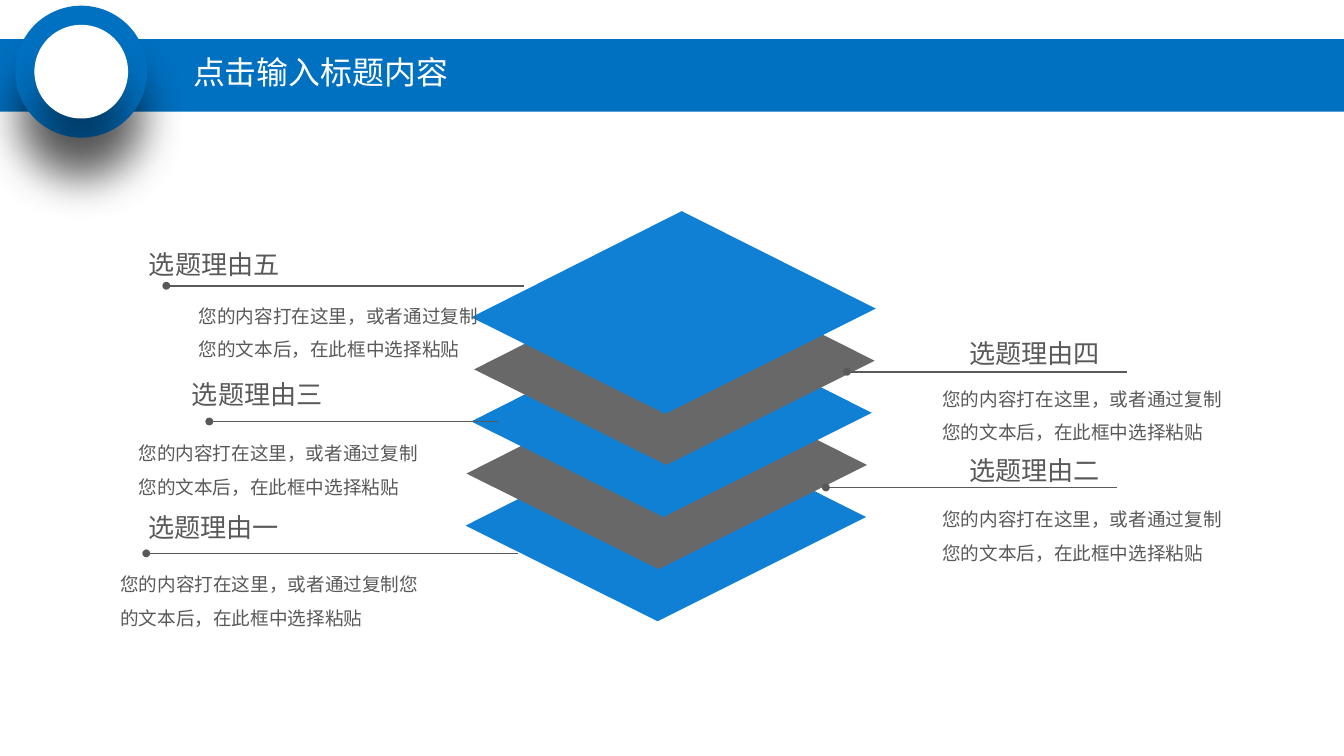
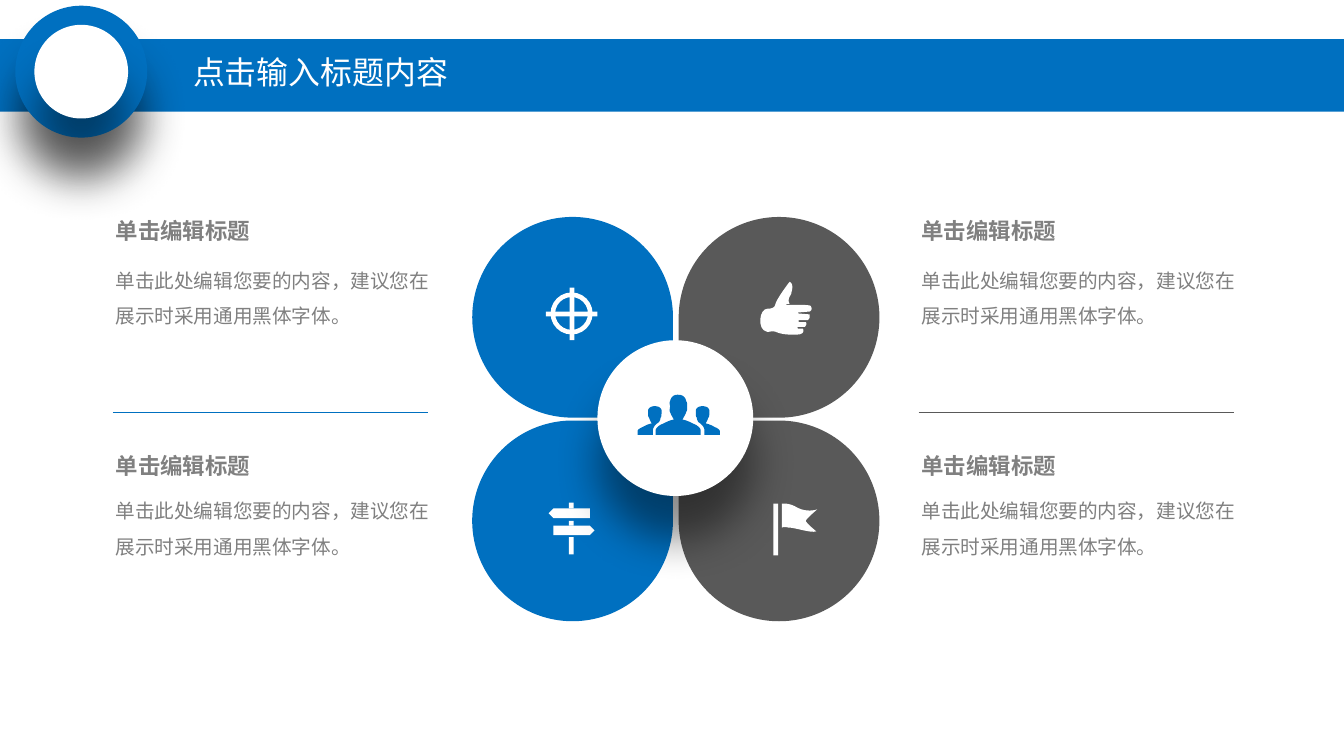
from dataclasses import dataclass

from lxml.etree import SubElement
from pptx import Presentation
from pptx.dml.color import RGBColor
from pptx.enum.shapes import MSO_CONNECTOR, MSO_SHAPE
from pptx.enum.text import MSO_ANCHOR, MSO_AUTO_SIZE, PP_ALIGN
from pptx.oxml.ns import qn
from pptx.shapes.autoshape import Shape
from pptx.slide import Slide, SlideLayout
from pptx.util import Inches, Pt


@dataclass(frozen=True)
class TextStyle:
    font: str
    size: float
    color: RGBColor
    bold: bool = False
    line_spacing: float = 1.0
    inset: float = 0.1


@dataclass(frozen=True)
class Theme:
    blue: RGBColor = RGBColor(0x00, 0x70, 0xC0)
    gray: RGBColor = RGBColor(0x59, 0x59, 0x59)
    lit_blue: RGBColor = RGBColor(0x10, 0x80, 0xD4)
    lit_gray: RGBColor = RGBColor(0x68, 0x68, 0x68)
    white: RGBColor = RGBColor(0xFF, 0xFF, 0xFF)
    muted: RGBColor = RGBColor(0x80, 0x80, 0x80)
    title: TextStyle = TextStyle("Arial Narrow", 24, white, line_spacing=0.9)
    reason_heading: TextStyle = TextStyle("Arial Narrow", 19.7, gray)
    reason_body: TextStyle = TextStyle("Arial Narrow", 14, gray, line_spacing=1.5)
    topic_heading: TextStyle = TextStyle("Calibri", 16.9, muted, bold=True, inset=0)
    topic_body: TextStyle = TextStyle("Calibri", 14.8, muted, line_spacing=1.5, inset=0)


@dataclass(frozen=True)
class Reason:
    heading: str
    heading_at: tuple[float, float]
    body_at: tuple[float, float]
    body_width: float
    line_start: float
    line_end: float
    line_top: float


@dataclass(frozen=True)
class Petal:
    left: float
    top: float
    rotation: int
    color: RGBColor


@dataclass(frozen=True)
class Topic:
    left: float
    heading_top: float
    body_top: float


THEME = Theme()
TITLE = "点击输入标题内容"
REASON_BODY = "您的内容打在这里，或者通过复制您的文本后，在此框中选择粘贴"
TOPIC_HEADING = "单击编辑标题"
TOPIC_BODY = "单击此处编辑您要的内容，建议您在展示时采用通用黑体字体。"

# An outline is a start point, then lines (x, y) or cubic curves (x1, y1, x2, y2, x, y).
Outline = list[tuple[float, ...]]

THUMB: Outline = [
    (8.26, 2.95), (8.26, 2.95, 8.12, 3.13, 8.11, 3.19), (8.1, 3.23, 8.05, 3.23, 8.03, 3.23),
    (7.94, 3.23, 7.92, 3.45, 8.02, 3.47), (8.04, 3.48, 8.06, 3.46, 8.11, 3.47),
    (8.2, 3.51, 8.28, 3.5, 8.36, 3.5), (8.41, 3.49, 8.41, 3.46, 8.4, 3.44),
    (8.35, 3.44), (8.34, 3.43), (8.35, 3.42), (8.42, 3.42),
    (8.44, 3.4, 8.44, 3.38, 8.43, 3.37), (8.36, 3.37), (8.35, 3.36), (8.36, 3.35),
    (8.45, 3.35), (8.48, 3.33, 8.47, 3.3, 8.47, 3.29), (8.35, 3.28), (8.35, 3.27),
    (8.47, 3.26), (8.49, 3.25, 8.5, 3.23, 8.48, 3.2), (8.46, 3.19, 8.38, 3.19, 8.33, 3.19),
    (8.23, 3.19), (8.22, 3.18), (8.26, 3.18), (8.23, 3.12, 8.28, 3.09, 8.28, 3.06),
    (8.31, 2.96, 8.26, 2.95, 8.26, 2.95),
]
FLAG: Outline = [
    (8.43, 5.45), (8.43, 5.43, 8.55, 5.33, 8.55, 5.33), (8.49, 5.35, 8.4, 5.35, 8.32, 5.3),
    (8.25, 5.26, 8.18, 5.27, 8.18, 5.27), (8.18, 5.52), (8.18, 5.52, 8.2, 5.51, 8.25, 5.52),
    (8.32, 5.52, 8.48, 5.58, 8.54, 5.56), (8.54, 5.56, 8.43, 5.47, 8.43, 5.45),
]
SIDE_PERSON: Outline = [
    (7.53, 4.51), (7.53, 4.51, 7.53, 4.49, 7.48, 4.47), (7.46, 4.46, 7.43, 4.44, 7.38, 4.43),
    (7.39, 4.42, 7.4, 4.4, 7.41, 4.37), (7.42, 4.36, 7.42, 4.35, 7.42, 4.33),
    (7.42, 4.32, 7.42, 4.3, 7.42, 4.29), (7.41, 4.26, 7.38, 4.25, 7.35, 4.25),
    (7.32, 4.25, 7.29, 4.26, 7.28, 4.29), (7.28, 4.33), (7.28, 4.35, 7.28, 4.36, 7.29, 4.37),
    (7.29, 4.39, 7.3, 4.41, 7.31, 4.42), (7.36, 4.45, 7.37, 4.49, 7.37, 4.5),
    (7.37, 4.55), (7.53, 4.55),
]
MIDDLE_PERSON: Outline = [
    (7.27, 4.44), (7.24, 4.43, 7.2, 4.4, 7.14, 4.39), (7.15, 4.37, 7.17, 4.34, 7.18, 4.31),
    (7.19, 4.29, 7.19, 4.28, 7.19, 4.25), (7.19, 4.24, 7.19, 4.21, 7.18, 4.2),
    (7.17, 4.15, 7.14, 4.13, 7.09, 4.13), (7.05, 4.13, 7.02, 4.15, 7.01, 4.2),
    (7, 4.21, 7.01, 4.24, 7.01, 4.25), (7.01, 4.28, 7, 4.29, 7.01, 4.31),
    (7.02, 4.34, 7.04, 4.37, 7.05, 4.39), (6.99, 4.4, 6.95, 4.43, 6.92, 4.44),
    (6.86, 4.47, 6.86, 4.5, 6.86, 4.5), (6.86, 4.55), (7.33, 4.55), (7.33, 4.5),
    (7.33, 4.5, 7.33, 4.47, 7.27, 4.44),
]


def paint(shape: Shape, color: RGBColor) -> Shape:
    shape.fill.solid()
    shape.fill.fore_color.rgb = color
    shape.line.fill.background()
    shape.shadow.inherit = False
    return shape


def add_preset(slide: Slide, kind: MSO_SHAPE, left: float, top: float,
               width: float, height: float, color: RGBColor) -> Shape:
    shape = slide.shapes.add_shape(kind, Inches(left), Inches(top), Inches(width), Inches(height))
    return paint(shape, color)


def cast_shadow(shape: Shape) -> None:
    effects = shape._element.spPr.find(qn("a:effectLst"))
    shadow = SubElement(effects, qn("a:outerShdw"), blurRad=str(Pt(33)), dist=str(Pt(33)),
                        dir="5400000", algn="t", rotWithShape="0")
    color = SubElement(shadow, qn("a:srgbClr"), val="000000")
    SubElement(color, qn("a:alpha"), val="43000")


def add_outline(slide: Slide, outline: Outline, color: RGBColor, steps: int = 8) -> Shape:
    """Draw an outline as a freeform, with each curve divided into short lines."""
    points = [outline[0]]
    for segment in outline[1:]:
        if len(segment) == 2:
            points.append(segment)
            continue
        controls = [points[-1], segment[0:2], segment[2:4], segment[4:6]]
        for step in range(1, steps + 1):
            t = step / steps
            weights = ((1 - t) ** 3, 3 * t * (1 - t) ** 2, 3 * t * t * (1 - t), t ** 3)
            points.append(tuple(sum(weight * control[axis]
                                    for weight, control in zip(weights, controls))
                                for axis in (0, 1)))
    vertices = [(Inches(x), Inches(y)) for x, y in points]
    builder = slide.shapes.build_freeform(*vertices[0])
    builder.add_line_segments(vertices[1:], close=True)
    return paint(builder.convert_to_shape(), color)


def mirror(outline: Outline, axis: float) -> Outline:
    return [tuple(2 * axis - value if index % 2 == 0 else value
                  for index, value in enumerate(segment)) for segment in outline]


def write(shape: Shape, text: str, style: TextStyle) -> None:
    frame = shape.text_frame
    frame.text = text
    frame.word_wrap = True
    frame.auto_size = MSO_AUTO_SIZE.NONE
    frame.margin_left = frame.margin_right = Inches(style.inset)
    frame.margin_top = frame.margin_bottom = Inches(style.inset / 2)
    paragraph = frame.paragraphs[0]
    paragraph.alignment = PP_ALIGN.LEFT
    paragraph.line_spacing = style.line_spacing
    font = paragraph.runs[0].font
    font.name, font.size, font.bold = style.font, Pt(style.size), style.bold
    font.color.rgb = style.color


def add_text(slide: Slide, text: str, left: float, top: float,
             width: float, height: float, style: TextStyle) -> None:
    box = slide.shapes.add_textbox(Inches(left), Inches(top), Inches(width), Inches(height))
    write(box, text, style)


def add_line(slide: Slide, start: float, end: float, top: float, color: RGBColor,
             width: float, dot: bool = False) -> None:
    line = slide.shapes.add_connector(MSO_CONNECTOR.STRAIGHT, Inches(start), Inches(top),
                                      Inches(end), Inches(top))
    line.line.color.rgb = color
    line.line.width = Pt(width)
    properties = line._element.spPr
    if dot:
        SubElement(properties.find(qn("a:ln")), qn("a:headEnd"), type="oval")
    SubElement(properties, qn("a:effectLst"))


def add_header(slide: Slide, layout: SlideLayout) -> None:
    """Draw the band and badge, then move them to the layout that the slides share."""
    band = add_preset(slide, MSO_SHAPE.RECTANGLE, 0, 0.41, 14.06, 0.76, THEME.blue)
    ring = add_preset(slide, MSO_SHAPE.OVAL, 0.16, 0.06, 1.38, 1.38, THEME.blue)
    disc = add_preset(slide, MSO_SHAPE.OVAL, 0.36, 0.26, 0.98, 0.98, THEME.white)
    cast_shadow(ring)
    cast_shadow(disc)
    for number, shape in enumerate((band, ring, disc)):
        shape._element.nvSpPr.cNvPr.set("id", str(100 + number))
        layout.shapes._spTree.append(shape._element)


def set_title(slide: Slide) -> None:
    title = slide.shapes.title
    title.left, title.top = Inches(1.92), Inches(0.5)
    title.width, title.height = Inches(3.47), Inches(0.55)
    write(title, TITLE, THEME.title)
    title.text_frame.vertical_anchor = MSO_ANCHOR.MIDDLE


def add_layer(slide: Slide, left: float, top: float, color: RGBColor, scale: float) -> None:
    """Draw one tilted sheet, placed by its left corner."""
    corners = ((0, 0), (2.18, -1.1), (4.19, -0.09), (2.01, 1))
    add_outline(slide, [(left + x * scale, top + y * scale) for x, y in corners], color)


def build_reasons(slide: Slide) -> None:
    set_title(slide)
    lefts = (4.87, 4.88, 4.93, 4.96, 4.93)
    for index, left in enumerate(lefts):
        color = THEME.lit_gray if index % 2 else THEME.lit_blue
        scale = 1.01 if index == len(lefts) - 1 else 1
        add_layer(slide, left, 5.5 - 0.545 * index, color, scale)
    reasons = (
        Reason("选题理由五", (1.46, 2.55), (1.98, 3.02), 3.14, 1.74, 5.48, 2.99),
        Reason("选题理由四", (10.04, 3.48), (9.76, 3.89), 3.2, 8.86, 11.79, 3.89),
        Reason("选题理由二", (10.04, 4.7), (9.76, 5.15), 3.2, 8.64, 11.69, 5.1),
        Reason("选题理由三", (1.91, 3.91), (1.35, 4.46), 3.17, 2.19, 5.21, 4.41),
        Reason("选题理由一", (1.45, 5.3), (1.16, 5.83), 3.35, 1.53, 5.42, 5.79),
    )
    for reason in reasons:
        add_line(slide, reason.line_start, reason.line_end, reason.line_top, THEME.gray, 1.25, dot=True)
        add_text(slide, REASON_BODY, *reason.body_at, reason.body_width, 0.77, THEME.reason_body)
        add_text(slide, reason.heading, *reason.heading_at, 2.58, 0.43, THEME.reason_heading)


def add_crosshair(slide: Slide) -> None:
    ring = add_preset(slide, MSO_SHAPE.DONUT, 5.76, 3.06, 0.44, 0.44, THEME.white)
    ring.adjustments[0] = 0.11
    add_preset(slide, MSO_SHAPE.RECTANGLE, 5.71, 3.26, 0.54, 0.05, THEME.white)
    add_preset(slide, MSO_SHAPE.RECTANGLE, 5.96, 3.01, 0.05, 0.55, THEME.white)


def add_signpost(slide: Slide) -> None:
    for top, height in ((5.26, 0.06), (5.45, 0.05), (5.62, 0.18)):
        add_preset(slide, MSO_SHAPE.RECTANGLE, 5.95, top, 0.05, height, THEME.white)
    for left, top, rotation in ((5.74, 5.32, 180), (5.79, 5.5, 0)):
        board = add_preset(slide, MSO_SHAPE.PENTAGON, left, top, 0.43, 0.1, THEME.white)
        board.rotation = rotation


def build_topics(slide: Slide) -> None:
    set_title(slide)
    petals = (
        Petal(4.94, 2.27, 90, THEME.blue),
        Petal(7.1, 2.27, 180, THEME.gray),
        Petal(4.94, 4.4, 0, THEME.blue),
        Petal(7.1, 4.4, 270, THEME.gray),
    )
    for petal in petals:
        shape = add_preset(slide, MSO_SHAPE.TEAR, petal.left, petal.top, 2.1, 2.1, petal.color)
        shape.rotation = petal.rotation
    add_crosshair(slide)
    add_outline(slide, THUMB, THEME.white)
    add_signpost(slide)
    add_outline(slide, FLAG, THEME.white)
    add_preset(slide, MSO_SHAPE.RECTANGLE, 8.09, 5.27, 0.05, 0.54, THEME.white)

    for left, color in ((1.21, THEME.blue), (9.64, THEME.gray)):
        add_line(slide, left - 0.03, left + 3.27, 4.31, color, 0.5)
        for topic in (Topic(left, 2.27, 2.69), Topic(left, 4.73, 5.1)):
            add_text(slide, TOPIC_HEADING, topic.left, topic.heading_top, 2.25, 0.28, THEME.topic_heading)
            add_text(slide, TOPIC_BODY, topic.left, topic.body_top, 3.47, 0.75, THEME.topic_body)

    cast_shadow(add_preset(slide, MSO_SHAPE.OVAL, 6.25, 3.56, 1.63, 1.63, THEME.white))
    for person in (SIDE_PERSON, mirror(SIDE_PERSON, 7.1), MIDDLE_PERSON):
        add_outline(slide, person, THEME.blue)


def main() -> None:
    presentation = Presentation()
    presentation.slide_width, presentation.slide_height = Inches(14.06), Inches(7.91)
    layout = presentation.slide_layouts[5]
    reasons, topics = (presentation.slides.add_slide(layout) for _ in range(2))
    add_header(reasons, layout)
    build_reasons(reasons)
    build_topics(topics)
    presentation.save("out.pptx")


if __name__ == "__main__":
    main()
